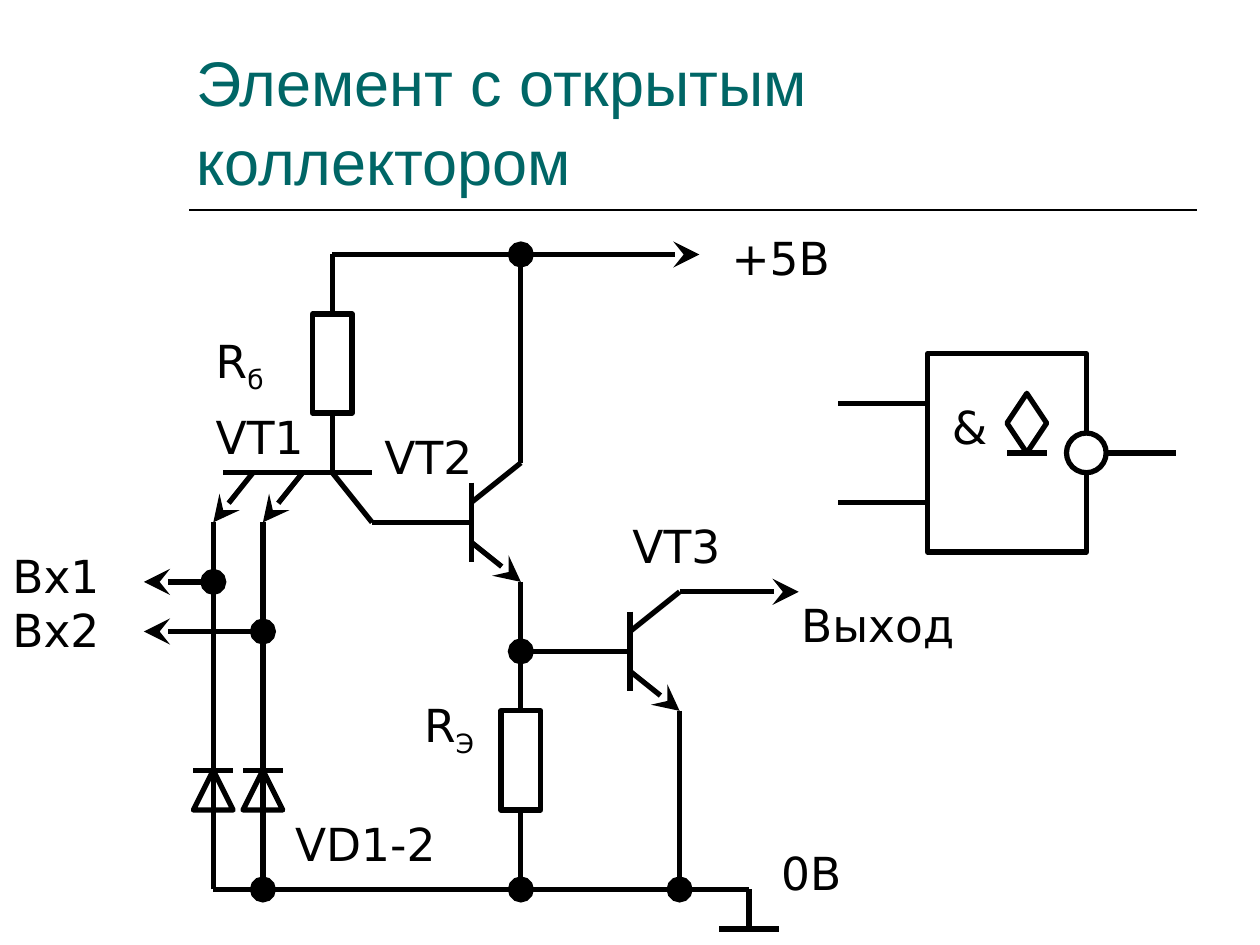
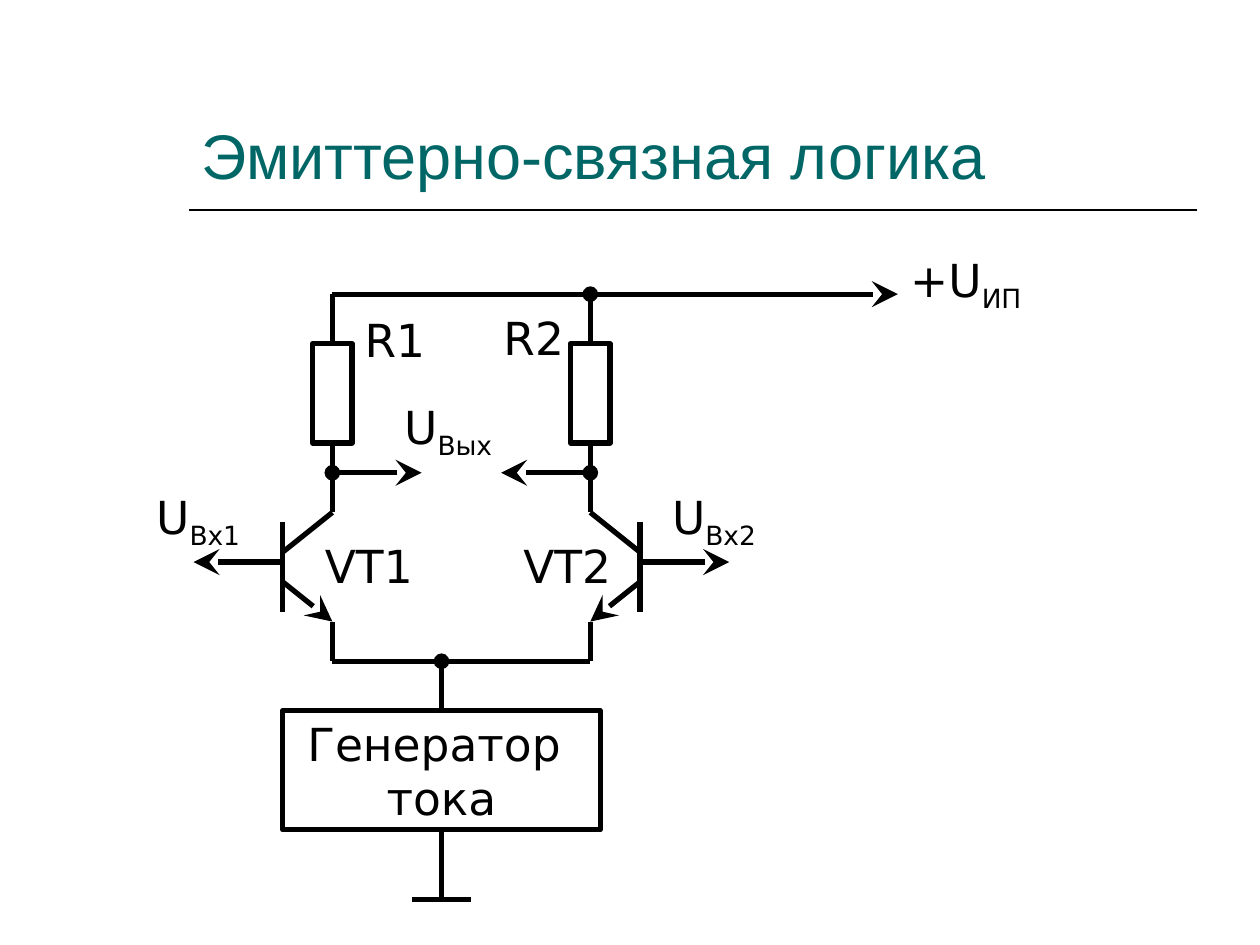
from dataclasses import dataclass
from itertools import pairwise
from typing import Any

from lxml.etree import SubElement
from pptx import Presentation
from pptx.dml.color import RGBColor
from pptx.enum.shapes import MSO_CONNECTOR as Link, MSO_SHAPE as Form
from pptx.enum.text import MSO_ANCHOR as Anchor, MSO_AUTO_SIZE as Fit, PP_ALIGN as Align
from pptx.oxml.ns import qn
from pptx.util import Cm, Pt

INK, PAPER, TEAL = "000000", "FFFFFF", "006666"
HEAD, BODY = "Arial", "DejaVu Sans"


def paint(color, value):
    color.rgb = RGBColor.from_string(value)


def style(frame, size, name, color, align=Align.LEFT):
    for para in frame.paragraphs:
        para.alignment = align
        para.font.size = Pt(size)
        para.font.name = name
        paint(para.font.color, color)


@dataclass
class Pane:
    slide: Any
    left: float
    top: float
    dot: str = "lg"

    def spot(self, x, y):
        return Cm(round(self.left + x, 2)), Cm(round(self.top + y, 2))

    def tip(self, line, end, kind):
        size = self.dot if kind == "oval" else "lg"
        SubElement(line.line._get_or_add_ln(), qn(f"a:{end}"), type=kind, w=size, len=size)

    def wire(self, *points, head=None, tail=None, weight=3):
        lines = []
        for start, end in pairwise(points):
            line = self.slide.shapes.add_connector(Link.STRAIGHT, *self.spot(*start), *self.spot(*end))
            paint(line.line.color, INK)
            line.line.width = Pt(weight)
            SubElement(line._element.spPr, qn("a:effectLst"))
            lines.append(line)
        if head:
            self.tip(lines[0], "headEnd", head)
        if tail:
            self.tip(lines[-1], "tailEnd", tail)

    def shape(self, form, x, y, w, h, fill=PAPER):
        part = self.slide.shapes.add_shape(form, *self.spot(x, y), Cm(w), Cm(h))
        part.shadow.inherit = False
        if fill:
            part.fill.solid()
            paint(part.fill.fore_color, fill)
        else:
            part.fill.background()
        paint(part.line.color, INK)
        part.line.width = Pt(3)
        return part

    def block(self, text, x, y, w, h):
        frame = self.shape(Form.RECTANGLE, x, y, w, h).text_frame
        frame.text = text
        frame.word_wrap = True
        frame.vertical_anchor = Anchor.MIDDLE
        style(frame, 26, BODY, INK, Align.CENTER)
        return frame

    def label(self, text, x, y, w=2.6, sub=None):
        box = self.slide.shapes.add_textbox(*self.spot(x, y), Cm(w), Cm(1.5 if sub else 1.37))
        frame = box.text_frame
        frame.word_wrap = True
        frame.text = text
        if sub:
            run = frame.paragraphs[0].add_run()
            run.text = sub
            run._r.get_or_add_rPr().set("baseline", "-25000")
        style(frame, 26, BODY, INK)

    def resist(self, x, y):
        self.shape(Form.RECTANGLE, x - 0.4, y, 0.8, 2)

    def diode(self, x, y):
        self.wire((x - 0.4, y), (x + 0.4, y))
        self.shape(Form.ISOSCELES_TRIANGLE, x - 0.4, y, 0.8, 0.8, None)

    def triode(self, x, y, side=1, gap=0.4, half=0.8):
        far = x + side
        self.wire((x, y - half), (x, y + half))
        self.wire((x, y - gap), (far, y - gap - 0.8))
        self.wire((x, y + gap), (far, y + gap + 0.8), tail="stealth")

    def ground(self, x, y):
        self.wire((x - 0.6, y), (x + 0.6, y))


def page(deck, text, left, top, width, height):
    slide = deck.slides.add_slide(deck.slide_layouts[5])
    title = slide.shapes.title
    title.left, title.top, title.width, title.height = map(Cm, (left, top, width, height))
    frame = title.text_frame
    frame.text = text
    frame.word_wrap = True
    frame.auto_size = Fit.NONE
    frame.vertical_anchor = Anchor.BOTTOM
    frame.paragraphs[0].line_spacing = 1.05
    style(frame, 36, HEAD, TEAL)
    Pane(slide, 0, 0).wire((3.81, 4.24), (24.13, 4.24), weight=1)
    return slide


def open_gate(slide, left, top):
    pane = Pane(slide, left, top)
    pane.wire((2.4, 1.2), (2.4, 0), (9.8, 0), tail="stealth")
    pane.resist(2.4, 1.2)
    pane.wire((2.4, 3.2), (2.4, 4.4))
    pane.wire((0.2, 4.4), (3.2, 4.4))
    for x, y in ((0, 6.6), (1, 7.6)):
        pane.wire((x + 0.8, 4.4), (x, 5.4), tail="stealth")
        pane.wire((x, 5.4), (x, y))
        pane.wire((x, y), (-1.4, y), tail="stealth")
        pane.wire((x, 12.8), (x, y), head="oval" if x else None, tail="oval")
        pane.diode(x, 10.4)
    pane.wire((2.4, 4.4), (3.2, 5.4), (5.2, 5.4))
    pane.triode(5.2, 5.4)
    pane.wire((6.2, 4.2), (6.2, 0), tail="oval")
    pane.wire((6.2, 6.6), (6.2, 9.2))
    pane.resist(6.2, 9.2)
    pane.wire((6.2, 11.2), (6.2, 12.8), tail="oval")
    pane.wire((8.4, 8), (6.2, 8), tail="oval")
    pane.triode(8.4, 8)
    pane.wire((9.4, 6.8), (11.8, 6.8), tail="stealth")
    pane.wire((9.4, 9.2), (9.4, 12.8), tail="oval")
    pane.wire((0, 12.8), (10.8, 12.8), (10.8, 13.6))
    pane.ground(10.8, 13.6)
    for item in (
        ("+5В", 10.2, -0.61), ("Вх1\nВх2", -4.3, 5.79),
        ("R", -0.2, 1.45, 1.8, "б"), ("VT1", -0.2, 3),
        ("VT2", 3.2, 3.4), ("VT3", 8.2, 5.18),
        ("R", 4, 8.79, 1.8, "Э"), ("VD1-2", 1.4, 11.2, 4.6),
        ("Выход", 11.6, 6.78, 3.7), ("0В", 11.2, 11.79),
    ):
        pane.label(*item)


def symbol(slide, left, top):
    pane = Pane(slide, left, top)
    frame = pane.block("&", 0, 0, 3.2, 4)
    frame.margin_left = frame.margin_top = 0
    frame.margin_right, frame.margin_bottom = Cm(1.5), Cm(1.07)
    for y in (1, 3):
        pane.wire((-1.8, y), (0, y))
    pane.wire((3.2, 2), (5, 2))
    pane.shape(Form.OVAL, 2.8, 1.6, 0.8, 0.8)
    pane.shape(Form.DIAMOND, 1.6, 0.8, 0.8, 1.2, None)
    pane.wire((1.6, 2), (2.4, 2))


def pair_gate(slide, left, top):
    pane = Pane(slide, left, top, "med")
    pane.wire((0, 0), (11.4, 0), tail="stealth")
    for x, side in ((0, 1), (5.2, -1)):
        base = x - side
        pane.wire((x, 1), (x, 0), tail="oval" if x else None)
        pane.resist(x, 1)
        pane.wire((x, 3), (x, 4.4))
        pane.wire((x + 1.8 * side, 3.6), (x, 3.6), head="stealth", tail="oval")
        pane.triode(base, 5.5, side, 0.3, 0.9)
        pane.wire((base, 5.4), (base - 1.8 * side, 5.4), tail="stealth")
        pane.wire((x, 6.6), (x, 7.4))
    pane.wire((0, 7.4), (5.2, 7.4))
    pane.wire((2.2, 8.4), (2.2, 7.4), tail="oval")
    pane.block("Генератор \vтока", -1, 8.4, 6.4, 2.4)
    pane.wire((2.2, 10.8), (2.2, 12.2))
    pane.ground(2.2, 12.2)
    for item in (
        ("R1", 0.4, 0.24), ("R2", 3.2, 0.19),
        ("VT1", -0.4, 4.79), ("VT2", 3.6, 4.79),
        ("+U", 11.4, -0.98, 3.4, "ИП"), ("U", 1.2, 1.99, 3.4, "Вых"),
        ("U", -3.8, 3.8, 3.4, "Вх1"), ("U", 6.6, 3.8, 3.4, "Вх2"),
    ):
        pane.label(*item)


def main():
    deck = Presentation()
    deck.slide_width, deck.slide_height = Cm(25.4), Cm(19.05)
    first = page(deck, "Элемент с открытым коллектором", 3.7, 0.13, 20.32, 4)
    open_gate(first, 4.3, 5.13)
    symbol(first, 18.7, 7.13)
    second = page(deck, "Эмиттерно-связная логика", 3.81, 0.83, 20.32, 3.18)
    pair_gate(second, 6.7, 5.93)
    deck.save("out.pptx")


if __name__ == "__main__":
    main()
